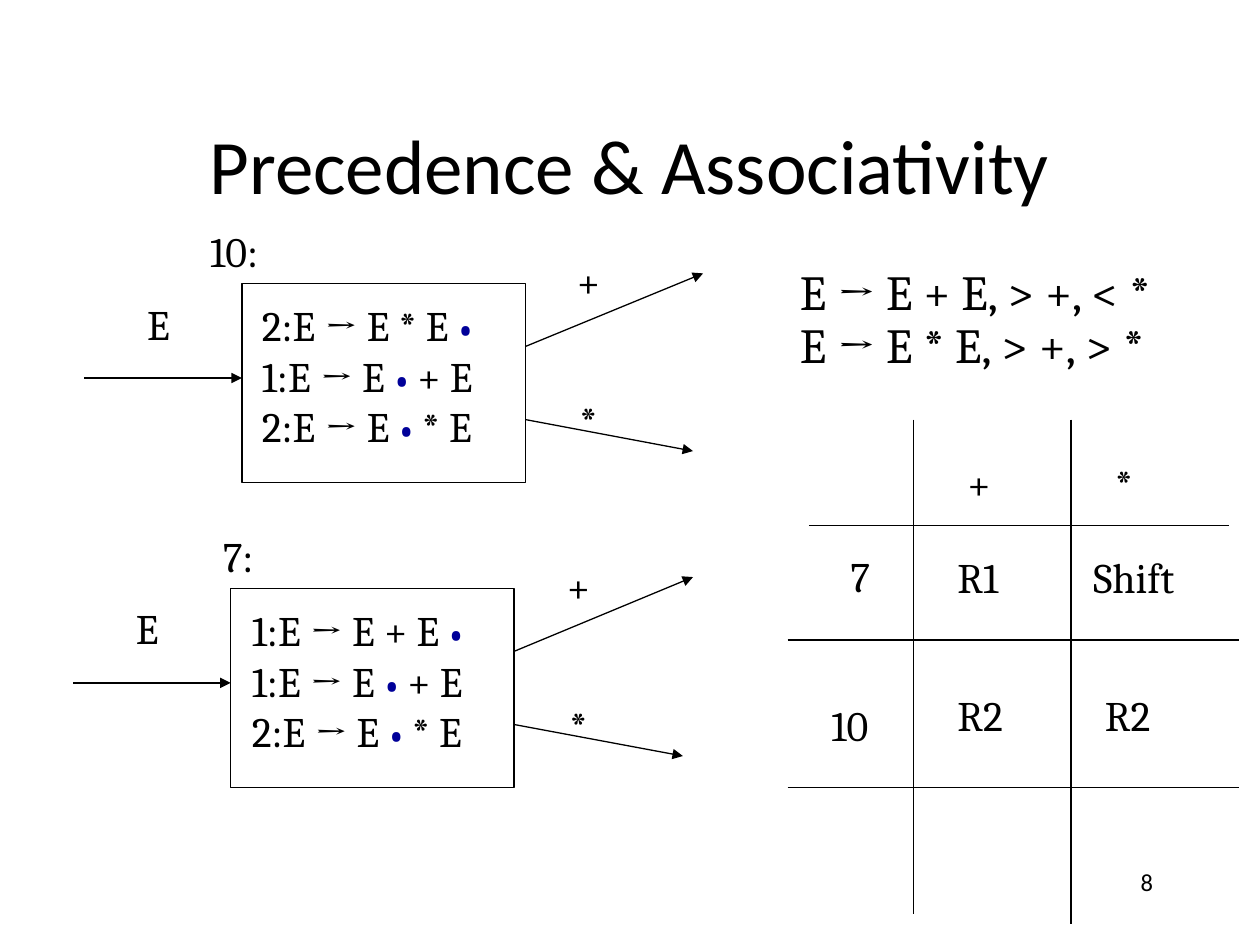
import pptx
import pptx.dml.color
import pptx.enum.shapes
import pptx.enum.text
import pptx.util
from dataclasses import dataclass
from lxml import etree

RGB = pptx.dml.color.RGBColor
ALIGN = pptx.enum.text.PP_ALIGN
ANCHOR = pptx.enum.text.MSO_ANCHOR


@dataclass(frozen=True)
class Theme:
    ink: RGB = RGB(0, 0, 0)
    dot: RGB = RGB(0, 0, 0x99)
    heading_font: str = "Calibri"
    body_font: str = "Cambria"
    title_size: int = 44
    rule_size: int = 28
    body_size: int = 24
    dot_size: int = 20
    number_size: int = 14
    line_width: float = 0.75


THEME = Theme()
COLUMNS, ROWS = 120, 90  # square cells, 12 to the inch
LINE_HEIGHT = 6  # rows taken by a one-line label


def grid(cells):
    return pptx.util.Inches(round(cells / 12, 2))


def add_run(paragraph, text, size, font, color=THEME.ink, bold=False):
    run = paragraph.add_run()
    run.text = text
    run.font.size = pptx.util.Pt(size)
    run.font.name = font
    run.font.bold = bold
    run.font.color.rgb = color


def add_frame(slide, left, top, width, height, wrap=True):
    box = slide.shapes.add_textbox(grid(left), grid(top), grid(width), grid(height))
    box.text_frame.word_wrap = wrap
    return box.text_frame


def add_label(slide, text, left, top, width):
    frame = add_frame(slide, left, top, width, LINE_HEIGHT, wrap=False)
    add_run(frame.paragraphs[0], text, THEME.body_size, THEME.body_font)


def next_paragraph(frame, index):
    return frame.add_paragraph() if index else frame.paragraphs[0]


def add_line(slide, start, end, arrow=False):
    line = slide.shapes.add_connector(
        pptx.enum.shapes.MSO_CONNECTOR.STRAIGHT, *map(grid, (*start, *end)))
    line.line.color.rgb = THEME.ink
    line.line.width = pptx.util.Pt(THEME.line_width)
    properties = line._element.spPr
    ns = "{http://schemas.openxmlformats.org/drawingml/2006/main}"
    if arrow:
        etree.SubElement(properties.find(ns + "ln"), ns + "tailEnd", type="triangle")
    etree.SubElement(properties, ns + "effectLst")


def add_items(slide, items, left, top, width):
    """Write LR items, with the parser's position dot in its own style."""
    frame = add_frame(slide, left, top, width, 15.6)
    for index, (before, after) in enumerate(items):
        paragraph = next_paragraph(frame, index)
        add_run(paragraph, before, THEME.body_size, THEME.body_font)
        dot = "• " if after else "•"
        add_run(paragraph, dot, THEME.dot_size, THEME.body_font, THEME.dot, True)
        if after:
            add_run(paragraph, after, THEME.body_size, THEME.body_font)


def add_state(slide, x, y, name, name_left, name_width, items):
    """Draw a parser state with its corner at column x, row y."""
    width, height = 27, 19
    box = slide.shapes.add_shape(pptx.enum.shapes.MSO_SHAPE.RECTANGLE,
                                 *map(grid, (x, y, width, height)))
    box.shadow.inherit = False
    box.fill.background()
    box.line.color.rgb = THEME.ink
    box.line.width = pptx.util.Pt(THEME.line_width)
    add_items(slide, items, x + 0.8, y + 1, width + 1)
    add_label(slide, name, x + name_left, y - 6.1, name_width)

    # Transition in on E, out on + and *
    add_line(slide, (x - 15, y + 9), (x, y + 9), arrow=True)
    add_line(slide, (x + width, y + 6), (x + 44, y - 1), arrow=True)
    add_line(slide, (x + width, y + 13), (x + 43, y + 16), arrow=True)
    add_label(slide, "E", x - 10.2, y + 0.8, 4.8)
    add_label(slide, "+", x + 30.8, y - 3.2, 4.7)
    add_label(slide, "*", x + 31, y + 10, 4.7)


def add_rules(slide, rules):
    frame = add_frame(slide, 75, 25, 40, 11.3, wrap=False)
    for index, rule in enumerate(rules):
        paragraph = next_paragraph(frame, index)
        paragraph.line_spacing = 0.9
        add_run(paragraph, rule, THEME.rule_size, THEME.body_font)


def add_action_table(slide):
    # Open rules that overhang one another
    for row, left, right in ((50, 77, 117), (61, 75, 118), (75, 75, 118)):
        add_line(slide, (left, row), (right, row))
    for column, bottom in ((87, 87), (102, 88)):
        add_line(slide, (column, 40), (column, bottom))

    # Entries: text, left, top, width
    for entry in (("+", 91, 43, 4.7), ("*", 105, 43, 4.4),
                  ("7", 79.8, 51.8, 4.4), ("R1", 90, 52, 7.1), ("Shift", 103, 52, 10.2),
                  ("10", 78, 66, 6.4), ("R2", 90, 65, 7.1), ("R2", 104, 65, 7.1)):
        add_label(slide, *entry)


def add_title(slide, text):
    frame = add_frame(slide, 9, 8, 102, 15)
    frame.vertical_anchor = ANCHOR.MIDDLE
    frame.paragraphs[0].alignment = ALIGN.CENTER
    add_run(frame.paragraphs[0], text, THEME.title_size, THEME.heading_font)


def add_slide_number(slide, number):
    frame = add_frame(slide, 86, 82, 25, 6)
    frame.paragraphs[0].alignment = ALIGN.RIGHT
    add_run(frame.paragraphs[0], number, THEME.number_size, THEME.heading_font)


def main():
    deck = pptx.Presentation()
    deck.slide_width, deck.slide_height = grid(COLUMNS), grid(ROWS)
    slide = deck.slides.add_slide(deck.slide_layouts[6])

    add_title(slide, "Precedence & Associativity")

    # Both states go on with the same two items
    pending = [("1:E → E ", "+ E"), ("2:E → E ", "* E")]
    add_state(slide, 23, 27, "10:", -4.2, 7.6, [("2:E → E * E ", ""), *pending])
    add_state(slide, 22, 56, "7:", -2, 5.5, [("1:E → E + E ", ""), *pending])

    # Precedence rules and the actions they settle
    add_rules(slide, ["E → E + E, > +, < *", "E → E * E, > +, > *"])
    add_action_table(slide)
    add_slide_number(slide, "8")

    deck.save("out.pptx")


if __name__ == "__main__":
    main()
